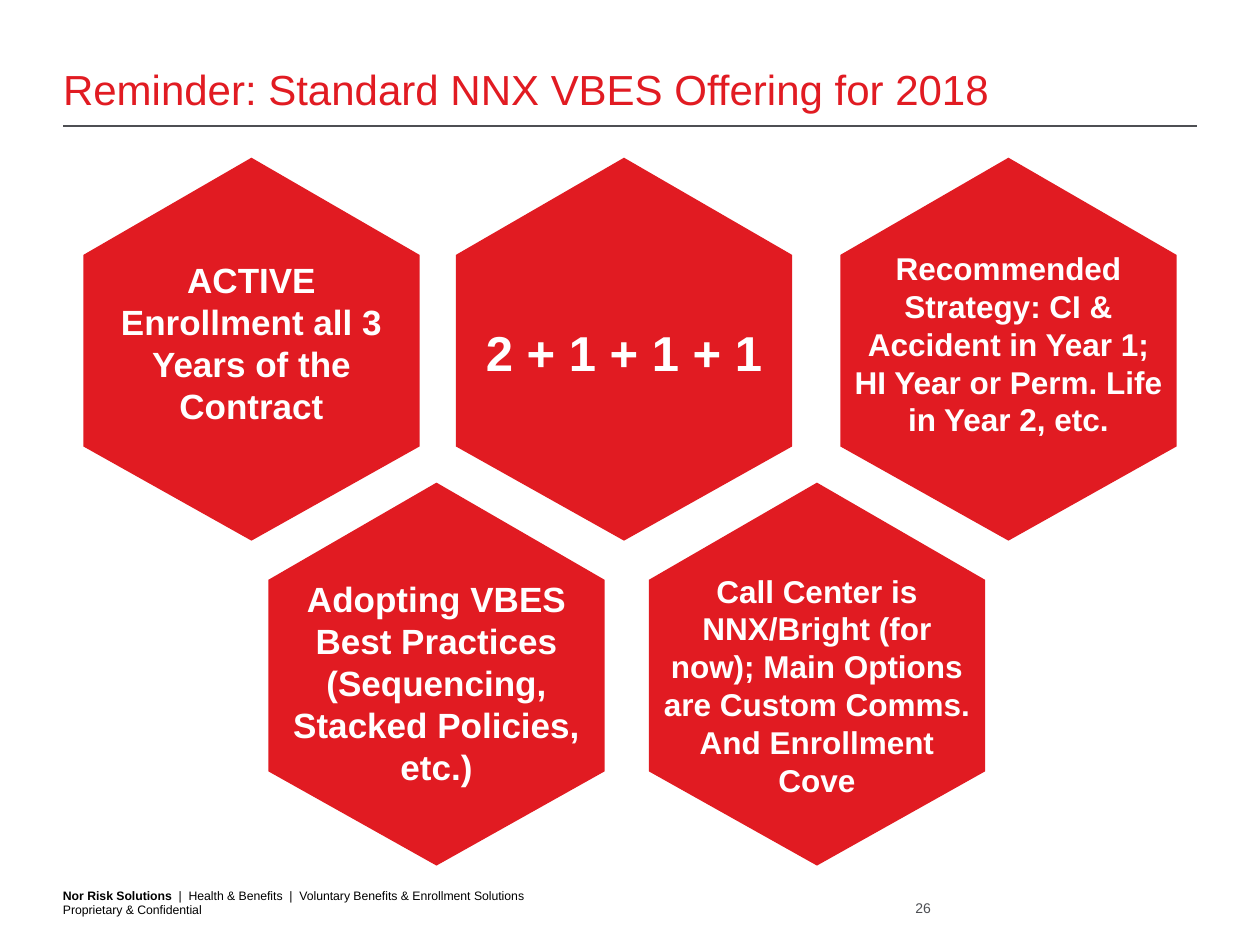
from pptx import Presentation
from pptx import util as u
from pptx.dml.color import RGBColor
from pptx.enum import shapes, text
from pptx.oxml import parse_xml
from pptx.oxml.ns import nsdecls

Cm, Pt = u.Cm, u.Pt
HUES = {"red": "E11B22", "grey": "4D4F53", "white": "FFFFFF", "black": "000000"}
MID, LEFT, RIGHT = text.PP_ALIGN.CENTER, text.PP_ALIGN.LEFT, text.PP_ALIGN.RIGHT
TOP, CORE, LOW = text.MSO_ANCHOR.TOP, text.MSO_ANCHOR.MIDDLE, text.MSO_ANCHOR.BOTTOM


def hue(name):
    return RGBColor.from_string(HUES[name])


def write(frame, lines, size, color, align, anchor, pad=None, bold=False):
    """Fill a text frame, one paragraph per line."""
    frame.word_wrap = True
    frame.auto_size = text.MSO_AUTO_SIZE.NONE
    frame.vertical_anchor = anchor
    if pad is not None:
        frame.margin_left = frame.margin_right = Cm(pad)
        frame.margin_top = frame.margin_bottom = Cm(pad)
    frame.text = "\n".join(lines)
    for para in frame.paragraphs:
        para.alignment = align
        font = para.font
        font.name, font.size, font.bold = "Arial", Pt(size), bold
        font.color.rgb = hue(color)


deck = Presentation()
deck.slide_width, deck.slide_height = Cm(25.4), Cm(19.05)
slide = deck.slides.add_slide(deck.slide_layouts[5])
items = slide.shapes

# Title and rule
title = items.title
title.left, title.top, title.width, title.height = Cm(1.27), Cm(0.84), Cm(23.7), Cm(1.45)
write(title.text_frame, ["Reminder: Standard NNX VBES Offering for 2018"],
      24, "red", LEFT, LOW, pad=0)

rule = items.add_connector(shapes.MSO_CONNECTOR.STRAIGHT,
                           Cm(1.27), Cm(2.54), Cm(24.13), Cm(2.54))
rule.line.color.rgb = hue("grey")
rule.line.width = Pt(0.75)
rule._element.spPr.append(parse_xml(f"<a:effectLst {nsdecls('a')}/>"))

# Hexagons: left, top, text top, text height, size, anchor, lines
WIDE, HIGH = 6.78, 7.72
ROWS = 3.18, 9.73
cells = [
    (1.68, ROWS[0], 5.08, 3.68, 20, TOP,
     ["ACTIVE Enrollment all 3 Years of the Contract"]),
    (9.19, ROWS[0], 6.38, 1.45, 28, CORE, ["2 + 1 + 1 + 1"]),
    (16.94, ROWS[0], 4.9, 4.11, 18, TOP,
     ["Recommended Strategy: CI & Accident in Year 1; HI Year or Perm. Life in Year 2, etc."]),
    (5.41, ROWS[1], 11.51, 4.52, 20, TOP,
     ["Adopting VBES", "Best Practices", "(Sequencing, Stacked Policies, etc.)"]),
    (13.08, ROWS[1], 11.4, 4.88, 18, TOP,
     ["Call Center is NNX/Bright (for now); Main Options are Custom Comms. "
      "And Enrollment Cove"]),
]
# Corners clockwise from the top point
corners = [(WIDE / 2, 0), (WIDE, 1.96), (WIDE, 5.82),
           (WIDE / 2, HIGH), (0, 5.82), (0, 1.96)]

for left, top, start, tall, size, anchor, lines in cells:
    points = [(Cm(left + x), Cm(top + y)) for x, y in corners]
    path = items.build_freeform(*points[0])
    path.add_line_segments(points[1:], close=True)
    hexa = path.convert_to_shape()
    hexa.shadow.inherit = False
    hexa.fill.solid()
    hexa.fill.fore_color.rgb = hue("red")
    hexa.line.fill.background()

    label = items.add_textbox(Cm(left), Cm(start), Cm(WIDE), Cm(tall))
    write(label.text_frame, lines, size, "white", MID, anchor, bold=True)

# Footer
foot = items.add_textbox(Cm(1.27), Cm(17.88), Cm(16.76), Cm(0.61))
write(foot.text_frame, [""], 7, "black", LEFT, LOW, pad=0)
para = foot.text_frame.paragraphs[0]
firm = para.add_run()
firm.text = "Nor Risk Solutions  "
firm.font.bold = True
para.add_run().text = "|  Health & Benefits  |  Voluntary Benefits & Enrollment Solutions"
para.add_line_break()
para.add_run().text = "Proprietary & Confidential"

page = items.add_textbox(Cm(17.78), Cm(18.14), Cm(0.99), Cm(0.33))
write(page.text_frame, ["26"], 8, "grey", RIGHT, LOW, pad=0)

deck.save("out.pptx")
